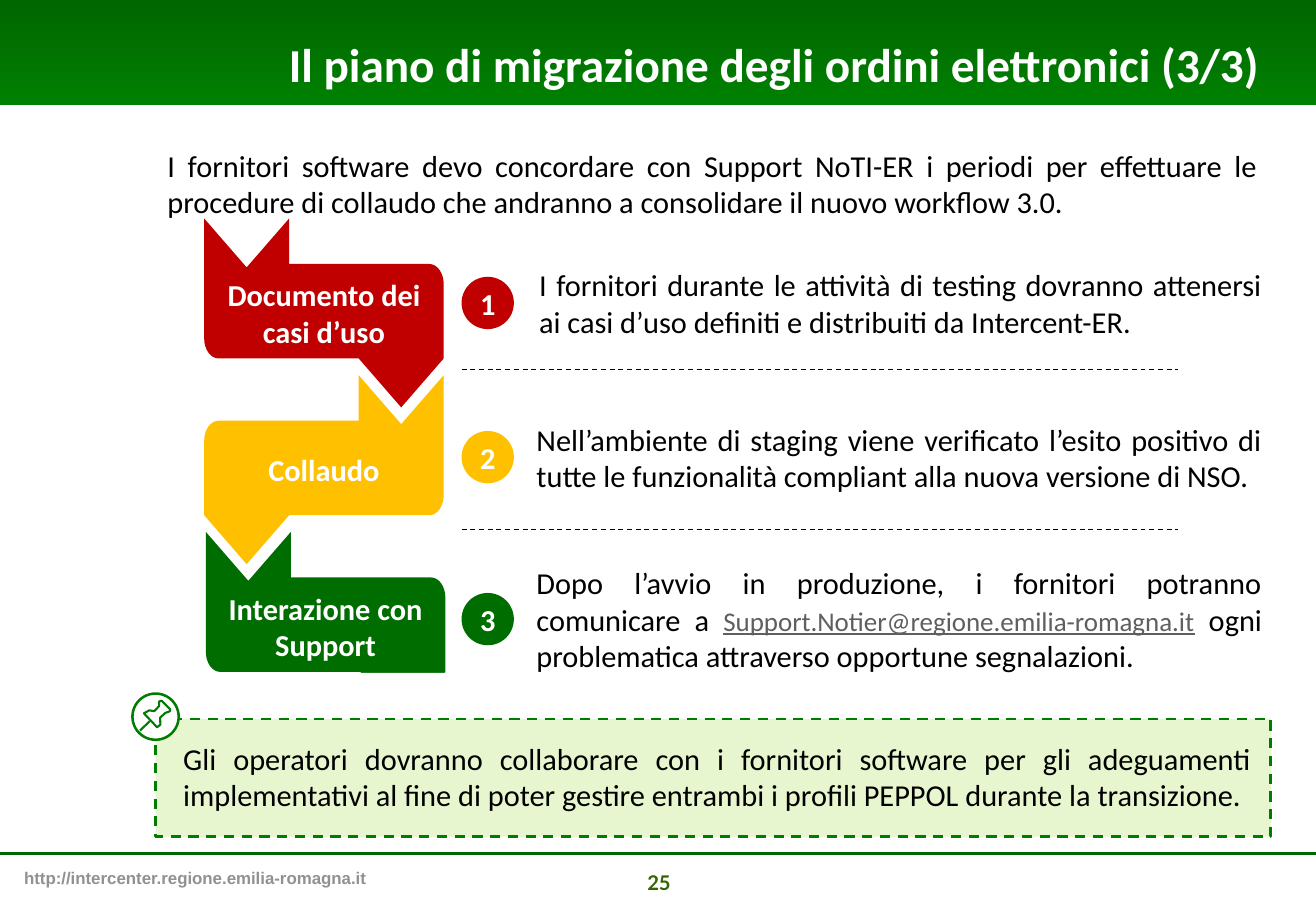
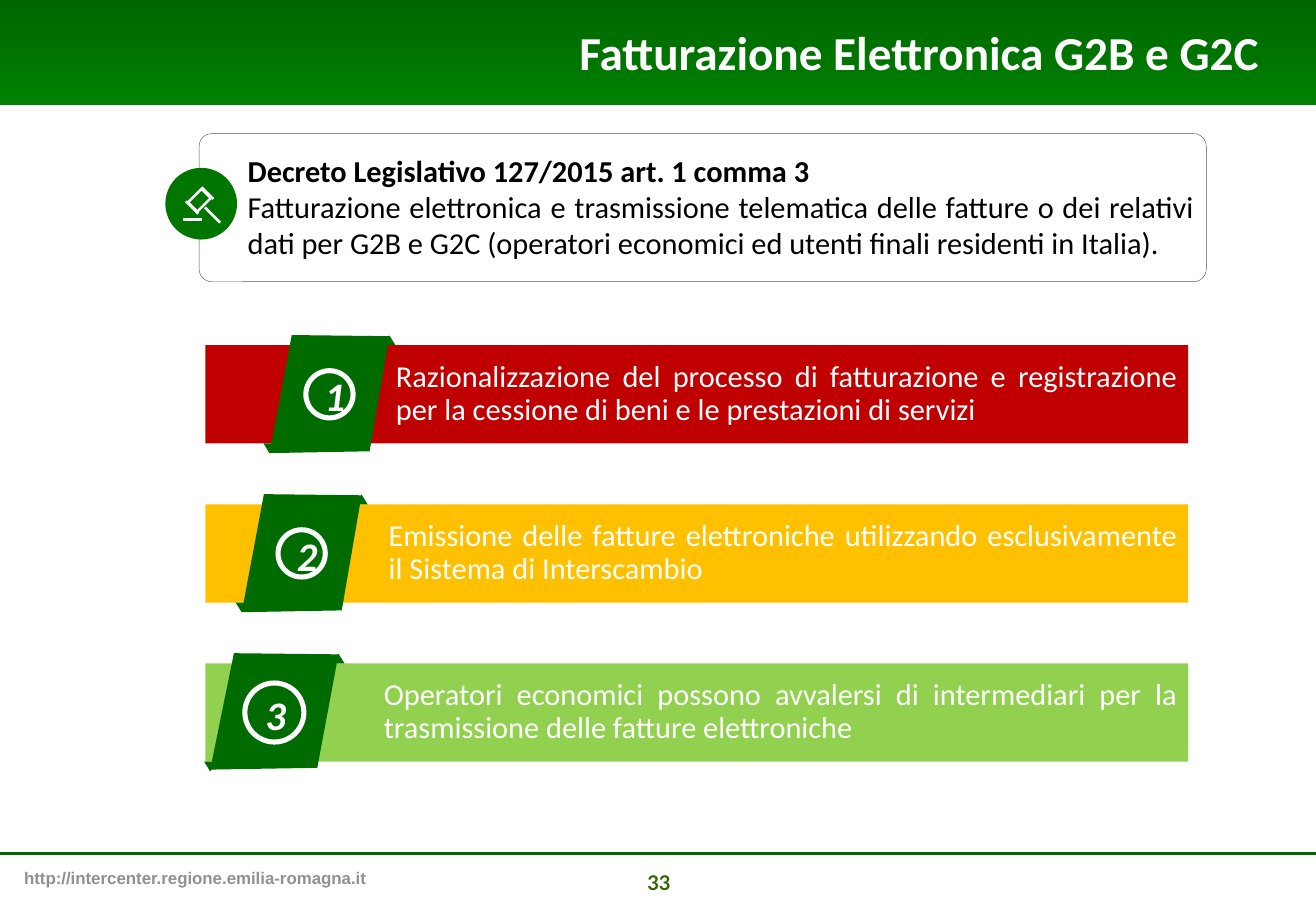
from dataclasses import dataclass
from math import cos, pi, sin

from lxml import etree
from pptx import Presentation
from pptx.dml.color import RGBColor
from pptx.enum.dml import MSO_LINE
from pptx.enum.shapes import MSO_CONNECTOR, MSO_SHAPE
from pptx.enum.text import MSO_ANCHOR, PP_ALIGN
from pptx.oxml.ns import qn
from pptx.util import Pt

RECT, OVAL = MSO_SHAPE.RECTANGLE, MSO_SHAPE.OVAL
ROUND, FOLD = MSO_SHAPE.ROUNDED_RECTANGLE, MSO_SHAPE.ISOSCELES_TRIANGLE
LEFT, MID, RIGHT, JUST = PP_ALIGN.LEFT, PP_ALIGN.CENTER, PP_ALIGN.RIGHT, PP_ALIGN.JUSTIFY
TOP, CENTER = MSO_ANCHOR.TOP, MSO_ANCHOR.MIDDLE
DASH = MSO_LINE.DASH


@dataclass(frozen=True)
class Theme:
    dark: str = "006600"
    green: str = "008000"
    block: str = "006D00"
    tag: str = "006B00"
    icon: str = "007500"
    edge: str = "007C00"
    page: str = "336600"
    red: str = "C00000"
    gold: str = "FFC000"
    lime: str = "92D050"
    pale: str = "E8F6CF"
    white: str = "FFFFFF"
    black: str = "000000"
    grey: str = "919191"
    link: str = "5F5F5F"
    frame: str = "595959"
    font: str = "Calibri"
    title: int = 28
    digit: int = 24
    body: int = 18
    mail: int = 16
    num: int = 12
    foot: int = 10


T = Theme()
WIDE, HIGH = 780, 540
SITE = "http://intercenter.regione.emilia-romagna.it"

# Migration plan: label, colour, block left, row centre, text left, text runs
MAIL = "Support.Notier@regione.emilia-romagna.it"
STEPS = [
    ("Documento dei casi d’uso", T.red, 121, 179.6, 314.6,
     ["I fornitori durante le attività di testing dovranno attenersi ai casi d’uso "
      "definiti e distribuiti da Intercent-ER."]),
    ("Collaudo", T.gold, 121, 271, 313,
     ["Nell’ambiente di staging viene verificato l’esito positivo di tutte le "
      "funzionalità compliant alla nuova versione di NSO."]),
    ("Interazione con Support", T.block, 122, 367, 313,
     ["Dopo l’avvio in produzione, i fornitori potranno comunicare a ", MAIL,
      " ogni problematica attraverso opportune segnalazioni."]),
]
INTRO = ("I fornitori software devo concordare con Support NoTI-ER i periodi per effettuare "
         "le procedure di collaudo che andranno a consolidare il nuovo workflow 3.0.")
NOTE = ("Gli operatori dovranno collaborare con i fornitori software per gli adeguamenti "
        "implementativi al fine di poter gestire entrambi i profili PEPPOL durante la "
        "transizione.")
PIN = [(22.3, 9.4), (17.3, 4.3), (15.8, 4.7), (15.8, 7.5), (13, 10.5), (10, 10),
       (6.8, 11.8), (14.6, 20), (16.6, 18.5), (16.4, 14.4), (19.4, 11.6), (22.3, 10.5)]
NEEDLE = (10.2, 16.4, 4.5, 22)

# Invoicing: colour, tag left, tag width, tag height, ring size, text left, text
BARS = [
    (T.red, 159.8, 71, 70, 28, 234.7,
     "Razionalizzazione del processo di fatturazione e registrazione per la cessione "
     "di beni e le prestazioni di servizi"),
    (T.gold, 143.3, 71, 70, 28, 230.4,
     "Emissione delle fatture elettroniche utilizzando esclusivamente il Sistema di "
     "Interscambio"),
    (T.lime, 124.6, 76, 69, 35, 227.5,
     "Operatori economici possono avvalersi di intermediari per la trasmissione delle "
     "fatture elettroniche"),
]
LAW = ["Decreto Legislativo 127/2015 art. 1 comma 3",
       "Fatturazione elettronica e trasmissione telematica delle fatture o dei relativi "
       "dati per G2B e G2C (operatori economici ed utenti finali residenti in Italia)."]
HEAD = [(13.5, 20.5), (21.5, 12.5), (27, 18), (19, 26)]
STROKES = [(10.5, 30.5, 21.5, 30.5), (12.2, 19.8, 19.5, 27.2),
           (21.5, 11.5, 28.5, 18.5), (23.5, 23.5, 32.5, 32.5)]


def rgb(code):
    return RGBColor.from_string(code)


def paint(shape, fill, line=None, width=1, dash=None):
    shape.shadow.inherit = False
    if fill:
        shape.fill.solid()
        shape.fill.fore_color.rgb = rgb(fill)
    else:
        shape.fill.background()
    if line:
        shape.line.color.rgb = rgb(line)
        shape.line.width = Pt(width)
        if dash:
            shape.line.dash_style = dash
    else:
        shape.line.fill.background()
    return shape


def draw(slide, kind, x, y, w, h, fill, *line):
    return paint(slide.shapes.add_shape(kind, Pt(x), Pt(y), Pt(w), Pt(h)), fill, *line)


def trace(slide, x, y, points, fill, *line):
    """Draw a closed outline whose points are offsets from x, y."""
    spots = [(Pt(x + dx), Pt(y + dy)) for dx, dy in points]
    pen = slide.shapes.build_freeform(*spots[0], scale=1.0)
    pen.add_line_segments(spots[1:], close=True)
    return paint(pen.convert_to_shape(), fill, *line)


def rule(slide, x1, y1, x2, y2, color, width, dash=None):
    line = slide.shapes.add_connector(MSO_CONNECTOR.STRAIGHT, Pt(x1), Pt(y1), Pt(x2), Pt(y2))
    line.line.color.rgb = rgb(color)
    line.line.width = Pt(width)
    if dash:
        line.line.dash_style = dash
    etree.SubElement(line._element.spPr, qn("a:effectLst"))


def write(shape, paras, size=T.body, color=T.black, bold=False, align=JUST, anchor=TOP,
          pad=(7.2, 3.6), font=T.font, lead=None):
    """Fill a shape with paragraphs, each a list of runs."""
    frame = shape.text_frame
    frame.word_wrap = True
    frame.vertical_anchor = anchor
    frame.margin_left = frame.margin_right = Pt(pad[0])
    frame.margin_top = frame.margin_bottom = Pt(pad[1])
    for i, runs in enumerate(paras):
        para = frame.add_paragraph() if i else frame.paragraphs[0]
        para.alignment = align
        if lead:
            para.line_spacing = lead
        for text in runs:
            para.add_run().text = text
        face = para.font
        face.name, face.size, face.bold = font, Pt(size), bold
        face.color.rgb = rgb(color)
    return frame.paragraphs


def label(slide, x, y, w, h, paras, **style):
    return write(slide.shapes.add_textbox(Pt(x), Pt(y), Pt(w), Pt(h)), paras, **style)


def start(deck, title, top, page):
    """Add a slide with band, title and footer."""
    slide = deck.slides.add_slide(deck.slide_layouts[6])
    band = draw(slide, RECT, 0, 0, WIDE, 62.6, T.dark)
    band.fill.gradient()
    band.fill.gradient_angle = 270
    for stop, color in zip(band.fill.gradient_stops, (T.dark, T.green)):
        stop.color.rgb = rgb(color)
    rule(slide, 0, 506.2, WIDE, 506.2, T.dark, 1.75)
    label(slide, 7.2, 510.5, 274, 19.4, [[SITE]], size=T.foot, color=T.grey, bold=True,
          align=LEFT, font="Arial")
    label(slide, 309.6, 512.6, 162, 19.4, [[page]], size=T.num, color=T.page, bold=True,
          align=MID, font="Lato")
    label(slide, 83, top, 670, 41, [[title]], size=T.title, color=T.white, bold=True,
          align=RIGHT)
    return slide


def curve(cx, cy, rx, ry, begin):
    """Quarter of an ellipse, clockwise from the angle begin."""
    turns = [begin + pi / 2 * i / 8 for i in range(9)]
    return [(cx + rx * cos(a), cy + ry * sin(a)) for a in turns]


def plan(deck):
    slide = start(deck, "Il piano di migrazione degli ordini elettronici (3/3)", 17.3, "25")
    wide = 142
    block = ([(0, 0), (25.2, 29), (50.4, 0), (50.4, 27)]
             + curve(wide - 8.5, 39, 8.5, 12, -pi / 2)
             + [(wide, 83), (wide - 25.2, 112), (wide - 50.4, 83)]
             + curve(8.5, 71, 8.5, 12, pi / 2))
    flip = [(wide - x, y) for x, y in block]
    snug = dict(anchor=CENTER, pad=(5, 3))
    bold = dict(color=T.white, bold=True, align=MID, **snug)
    for i, (name, color, left, mid, x, runs) in enumerate(STEPS):
        shape = trace(slide, left, 129.5 + 92.9 * i, flip if i % 2 else block, color)
        write(shape, [[name]], **bold)
        write(draw(slide, OVAL, 273.6, mid - 15.5, 31, 31, color), [[str(i + 1)]], **bold)
        paras = label(slide, x, mid - 38.5, 753 - x, 77, [runs], **snug)
        for run in paras[0].runs:
            if run.text == MAIL:
                run.font.size, run.font.underline = Pt(T.mail), True
                run.font.color.rgb = rgb(T.link)
    for y in (219, 314):
        rule(slide, 273.6, y, 698.4, y, T.black, 0.75, DASH)
    draw(slide, RECT, 202.3, 398.9, 63.4, 28, T.white)
    draw(slide, RECT, 92.2, 426.2, 661, 69.8, T.pale, T.edge, 1.5, DASH)
    x, y = 78.5, 411.1
    draw(slide, OVAL, x, y, 27.4, 27.4, T.white, T.edge, 1.5)
    trace(slide, x, y, PIN, T.white, T.edge, 1.25)
    x1, y1, x2, y2 = NEEDLE
    rule(slide, x + x1, y + y1, x + x2, y + y2, T.edge, 1.25)
    label(slide, 101.5, 434.9, 647.3, 51, [[NOTE]])
    label(slide, 92.2, 83.5, 660.2, 51, [[INTRO]])


def bill(deck):
    slide = start(deck, "Fatturazione Elettronica G2B e G2C", 10, "33")
    tall, fold, drop = 58.3, 7.2, 5.8
    for i, (color, left, w, h, ring, x, text) in enumerate(BARS):
        top = 204.6 + 94.3 * i
        mid = top + tall / 2
        draw(slide, RECT, 121.7, top, 582.5, tall, color)
        label(slide, x, mid - 20, 698 - x, 40, [[text]], color=T.white, anchor=CENTER,
              pad=(0, 0), lead=0.9)
        draw(slide, FOLD, left + w - fold / 2, top - drop, fold, drop, T.tag)
        draw(slide, FOLD, left - fold / 2, top + tall, fold, drop, T.tag).rotation = 180
        trace(slide, left, top - 6,
              [(0.185 * w, 0), (0, h), (0.835 * w, 0.985 * h), (w, 0.01 * h)], T.tag)
        disc = draw(slide, OVAL, left + (w - ring) / 2, mid - ring / 2, ring, ring,
                    T.tag, T.white, 3)
        paras = write(disc, [[str(i + 1)]], size=T.digit, color=T.white, bold=True,
                      align=MID, anchor=CENTER, pad=(7.2, 7.2), lead=1.06)
        paras[0].font.italic = True
    box = draw(slide, ROUND, 118, 79.2, 597, 87.8, T.white, T.frame, 0.25)
    box.adjustments[0] = 0.086
    paras = label(slide, 139.7, 86.4, 575.3, 72.7, [[line] for line in LAW])
    paras[0].font.bold = True
    x, y = 98, 99.5
    draw(slide, OVAL, x, y, 42.5, 42.5, T.icon)
    trace(slide, x, y, HEAD, None, T.white, 1.5)
    for x1, y1, x2, y2 in STROKES:
        rule(slide, x + x1, y + y1, x + x2, y + y2, T.white, 1.5)


def main():
    deck = Presentation()
    deck.slide_width, deck.slide_height = Pt(WIDE), Pt(HIGH)
    plan(deck)
    bill(deck)
    deck.save("out.pptx")


if __name__ == "__main__":
    main()
